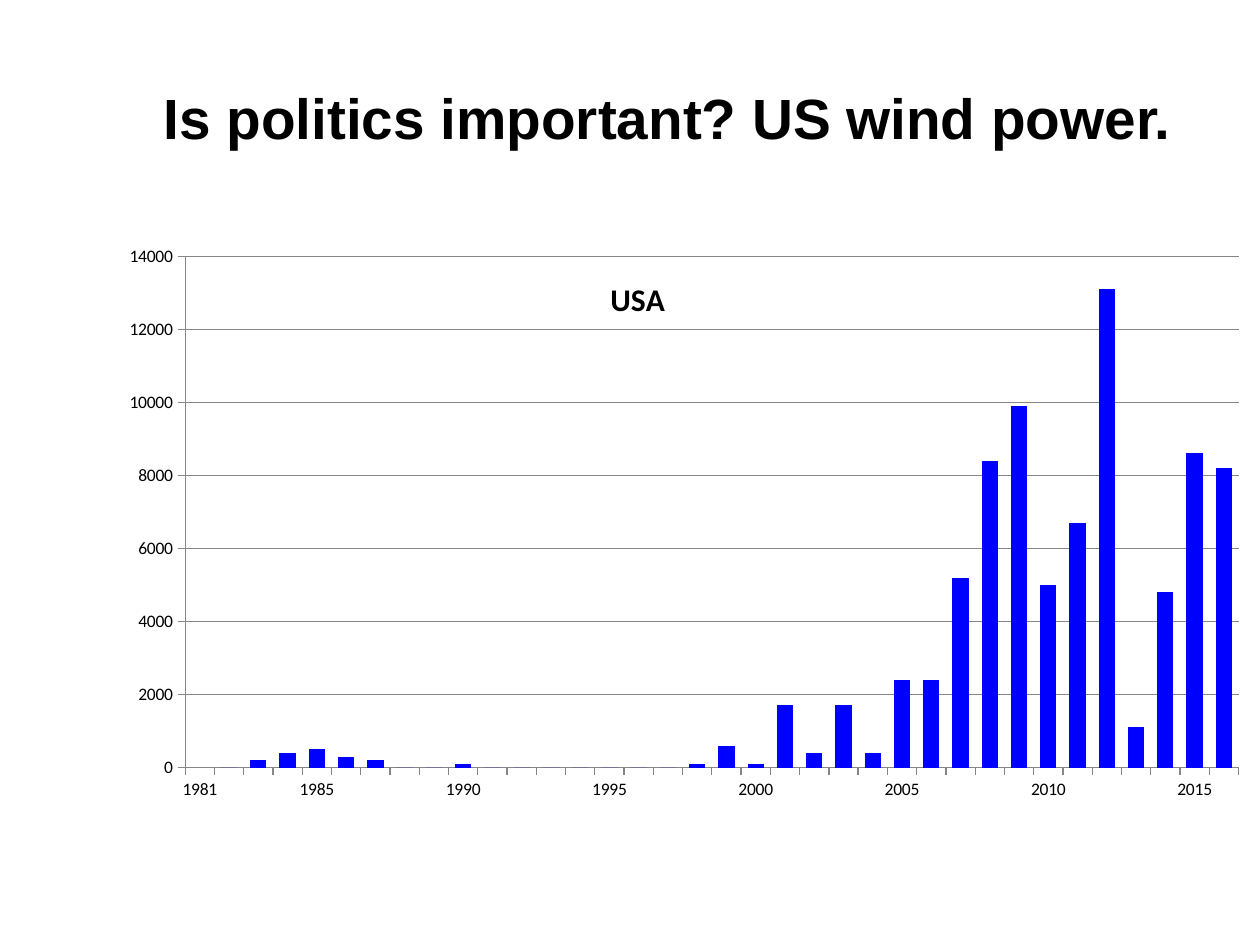
from dataclasses import dataclass
from lxml import etree
from pptx import Presentation
from pptx.chart.data import CategoryChartData as Data
from pptx.dml.color import RGBColor
from pptx.enum.chart import XL_CHART_TYPE as Kind, XL_TICK_MARK as Tick
from pptx.enum.text import MSO_ANCHOR as Anchor, MSO_AUTO_SIZE as Fit, PP_ALIGN as Align
from pptx.oxml.ns import qn
from pptx.util import Inches, Pt

BLACK = RGBColor(0, 0, 0)
BLUE = RGBColor(0, 0, 255)
GRAY = RGBColor(0x86, 0x86, 0x86)

FIRST = 1981
POWER = [
    None, 0, 200, 400, 500, 300, 200, 0, 0,
    100, 0, 0, 0, 0, 0, 0, 0, 100, 600,
    100, 1700, 400, 1700, 400, 2400, 2400, 5200, 8400, 9900,
    5000, 6700, 13100, 1100, 4800, 8600, 8200,
]


@dataclass
class Style:
    face: str
    size: float
    bold: bool


HEAD = Style("Arial", 32.4, True)
NAME = Style("Calibri", 18, True)
LABEL = Style("Calibri", 10, False)


def set_font(font, style: Style) -> None:
    font.name, font.size, font.bold = style.face, Pt(style.size), style.bold
    font.color.rgb = BLACK


def add_run(frame, text: str, style: Style) -> None:
    run = frame.paragraphs[0].add_run()
    run.text = text
    set_font(run.font, style)


def place(node, spots: dict[str, str | float]) -> None:
    """Give a chart part a fixed place, as fractions of the chart."""
    for old in node.findall(qn("c:layout")):
        node.remove(old)
    outer = etree.Element(qn("c:layout"))
    inner = etree.SubElement(outer, qn("c:manualLayout"))
    for tag, val in spots.items():
        etree.SubElement(inner, qn(f"c:{tag}")).set("val", str(val))
    text = node.find(qn("c:tx"))
    node.insert(0 if text is None else node.index(text) + 1, outer)


deck = Presentation()
deck.slide_width, deck.slide_height = Inches(10), Inches(7.5)
slide = deck.slides.add_slide(deck.slide_layouts[5])

# Title
title = slide.shapes.title
title.left, title.top = Inches(1.2), Inches(0.3)
title.width, title.height = Inches(8.62), Inches(1.25)
frame = title.text_frame
frame.word_wrap = True
frame.auto_size = Fit.NONE
frame.vertical_anchor = Anchor.MIDDLE
frame.paragraphs[0].alignment = Align.LEFT
add_run(frame, "Is politics important? US wind power.", HEAD)

# Yearly values: label the first year and every fifth one
data = Data()
years = range(FIRST, FIRST + len(POWER))
data.categories = [str(y) if y == FIRST or y % 5 == 0 else "" for y in years]
data.add_series("USA", POWER)
chart = slide.shapes.add_chart(
    Kind.COLUMN_CLUSTERED, Inches(0), Inches(1.93), Inches(10), Inches(4.5), data
).chart
set_font(chart.font, LABEL)
chart.has_legend = False

# Columns
plot = chart.plots[0]
plot.gap_width = 80
plot.vary_by_categories = False
fill = plot.series[0].format.fill
fill.solid()
fill.fore_color.rgb = BLUE

# Axes
years_ax, power_ax = chart.category_axis, chart.value_axis
for axis in (years_ax, power_ax):
    axis.major_tick_mark = Tick.OUTSIDE
    axis.minor_tick_mark = Tick.NONE
    axis.format.line.color.rgb = GRAY
    axis.format.line.width = Pt(0.75)
power_ax.minimum_scale, power_ax.maximum_scale = 0, 14000
power_ax.major_unit = 2000
power_ax.has_major_gridlines = True
grid = power_ax.major_gridlines.format.line
grid.color.rgb, grid.width = GRAY, Pt(0.75)

# Chart title, laid over the plot
chart.has_title = True
head = chart.chart_title
add_run(head.text_frame, "USA", NAME)
head.include_in_layout = False
node = chart.element.find(qn("c:chart"))
place(node.find(qn("c:title")), dict(xMode="edge", yMode="edge", x=0.48, y=0.05))
over = node.find(qn("c:title")).find(qn("c:overlay"))
if over is None:
    over = etree.SubElement(node.find(qn("c:title")), qn("c:overlay"))
over.set("val", "1")
place(
    node.find(qn("c:plotArea")),
    dict(layoutTarget="inner", xMode="edge", yMode="edge",
         x=0.147, y=0.023, w=0.836, h=0.902),
)

deck.save("out.pptx")
